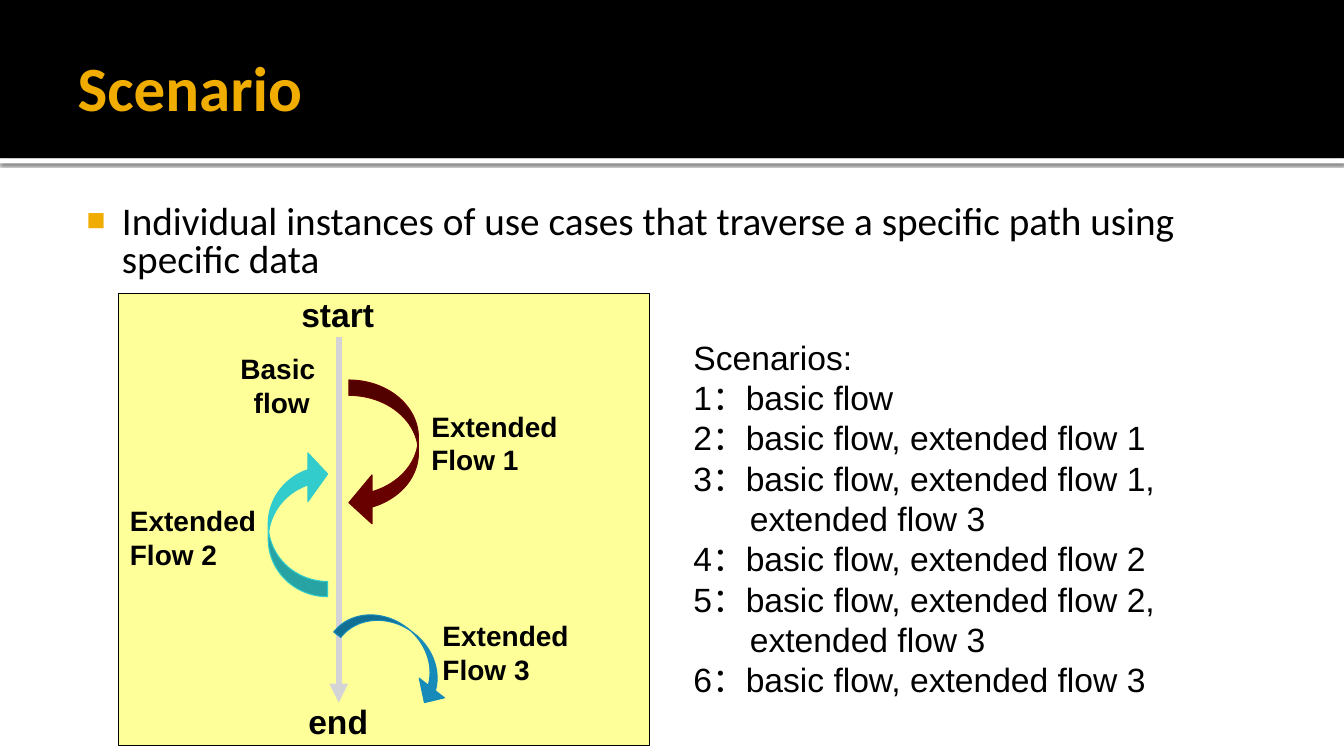
from lxml import etree
from pptx import Presentation
from pptx import util as u
from pptx.dml.color import RGBColor
from pptx.enum import shapes, text
from pptx.oxml import parse_xml
from pptx.oxml.ns import qn

PX = 9144
COLORS = {
    "ink": "000000", "paper": "FFFFFF", "gold": "F0AD00", "panel": "FFFF99",
    "axis": "D4D4D6", "flow1": "680000", "flow2": "33CCCC", "flow3": "168BBA",
}
NS = 'xmlns:a="http://schemas.openxmlformats.org/drawingml/2006/main"'
BAND_SHADOW = (
    f'<a:effectLst {NS}><a:outerShdw blurRad="31750" dist="10160" dir="5400000" '
    'algn="tl" rotWithShape="0"><a:srgbClr val="000000"><a:alpha val="60000"/>'
    '</a:srgbClr></a:outerShdw></a:effectLst>'
)


def rgb(name):
    """Return a named colour."""
    return RGBColor.from_string(COLORS[name])


def emu(*lengths):
    """Turn px lengths into EMU."""
    return [length * PX for length in lengths]


def add_preset(slide, kind, box, fill, line=None, adjust=(), rotation=0):
    """Add a filled preset shape without a shadow."""
    shape = slide.shapes.add_shape(kind, *emu(*box))
    shape.shadow.inherit = False
    shape.fill.solid()
    shape.fill.fore_color.rgb = rgb(fill)
    if line:
        shape.line.color.rgb = rgb(line)
        shape.line.width = u.Pt(0.75)
    else:
        shape.line.fill.background()
    for index, value in enumerate(adjust):
        shape.adjustments[index] = value
    shape.rotation = rotation
    return shape


def add_run(paragraph, words, size, font="Arial", bold=False, color="ink"):
    """Add one formatted run."""
    run = paragraph.add_run()
    run.text = words
    run.font.size = u.Pt(size)
    run.font.name = font
    run.font.bold = bold
    run.font.color.rgb = rgb(color)


def add_lines(slide, box, lines, size, bold=False, wrap=False, align=None):
    """Add a text box with one paragraph per line and return its paragraphs."""
    frame = slide.shapes.add_textbox(*emu(*box)).text_frame
    frame.word_wrap = wrap
    frame.auto_size = text.MSO_AUTO_SIZE.SHAPE_TO_FIT_TEXT
    for index, words in enumerate(lines):
        paragraph = frame.add_paragraph() if index else frame.paragraphs[0]
        paragraph.alignment = align
        add_run(paragraph, words, size, bold=bold)
    return frame.paragraphs


def add_header(slide, box, heading):
    """Draw the black header with its white edge and set the title on it."""
    left, top, width, height = box
    rect = shapes.MSO_SHAPE.RECTANGLE
    edge = add_preset(slide, rect, (left, top + height, width, 5), "paper")
    properties = edge._element.spPr
    properties.remove(properties.find(qn("a:effectLst")))
    properties.append(parse_xml(BAND_SHADOW))
    add_preset(slide, rect, box, "ink")

    title = slide.shapes.title
    slide.shapes._spTree.append(title._element)
    title.left, title.top, title.width, title.height = emu(left + 67, top + 17, 1200, 137)
    frame = title.text_frame
    frame.vertical_anchor = text.MSO_ANCHOR.MIDDLE
    frame.margin_left, frame.margin_right = emu(10, 5)
    frame.margin_top = frame.margin_bottom = 5 * PX
    frame.paragraphs[0].alignment = text.PP_ALIGN.LEFT
    add_run(frame.paragraphs[0], heading, 45, "Calibri", True, "gold")


def add_definition(slide, box, words):
    """Place the bulleted definition."""
    frame = slide.shapes.add_textbox(*emu(*box)).text_frame
    frame.word_wrap = True
    frame.margin_left, frame.margin_top, frame.margin_right = emu(6, 10, 10)
    paragraph = frame.paragraphs[0]
    paragraph.line_spacing = 0.8
    properties = paragraph._p.get_or_add_pPr()
    properties.set("marL", str(48 * PX))
    properties.set("indent", str(-35 * PX))
    color = etree.SubElement(properties, qn("a:buClr"))
    etree.SubElement(color, qn("a:srgbClr"), val=COLORS["gold"])
    etree.SubElement(properties, qn("a:buSzPct"), val="80000")
    etree.SubElement(properties, qn("a:buFont"), typeface="Arial")
    etree.SubElement(properties, qn("a:buChar"), char="■")
    add_run(paragraph, words, 28, "Calibri")


def add_flow_diagram(slide, box):
    """Draw the basic flow and the three extended flows on a panel."""
    left, top, _, height = box
    preset = shapes.MSO_SHAPE
    add_preset(slide, preset.RECTANGLE, box, "panel", "ink")

    axis = left + 218
    basic = slide.shapes.add_connector(
        shapes.MSO_CONNECTOR.STRAIGHT, *emu(axis, top + 43, axis, top + height - 43))
    basic.line.color.rgb = rgb("axis")
    basic.line.width = u.Pt(4.5)
    etree.SubElement(basic.line._get_or_add_ln(), qn("a:tailEnd"), type="triangle")
    etree.SubElement(basic._element.spPr, qn("a:effectLst"))

    arrows = [
        (preset.CURVED_LEFT_ARROW, (228, 86, 69, 146), "flow1", (0.221, 0.703, 0.333), 0),
        (preset.CURVED_DOWN_ARROW, (214, 333, 130, 48), "flow3", (0.186, 0.662, 0.333), 37.9),
        (preset.CURVED_LEFT_ARROW, (148, 155, 59, 146), "flow2", (0.257, 0.82, 0.333), 180),
    ]
    for kind, (x, y, width, tall), color, adjust, rotation in arrows:
        place = (left + x, top + y, width, tall)
        add_preset(slide, kind, place, color, color, adjust, rotation)

    center = text.PP_ALIGN.CENTER
    labels = [
        ((171, -4, 93, 50), ["start"], 24, None),
        ((178, 399, 80, 50), ["end"], 24, None),
        ((300, 110, 147, 77), ["Extended", "Flow 1"], 20, None),
        ((1, 204, 147, 77), ["Extended", "Flow 2"], 20, None),
        ((311, 318, 147, 77), ["Extended", "Flow 3"], 20, None),
        ((110, 53, 103, 77), ["Basic ", "flow"], 20, center),
    ]
    for (x, y, width, tall), lines, size, align in labels:
        add_lines(slide, (left + x, top + y, width, tall), lines, size, True, align=align)


def add_scenarios(slide, box, lines):
    """List the scenarios, indenting lines that continue the one above."""
    for paragraph in add_lines(slide, box, lines, 24, wrap=True):
        if paragraph.text.startswith("extended"):
            paragraph._p.get_or_add_pPr().set("marL", str(56 * PX))


def main():
    """Build the slide and save it."""
    deck = Presentation()
    deck.slide_width, deck.slide_height = emu(1333, 750)
    slide = deck.slides.add_slide(deck.slide_layouts.get_by_name("Title Only"))
    add_header(slide, (0, 0, 1333, 157), "Scenario")
    add_definition(
        slide, (67, 194, 1200, 90),
        "Individual instances of use cases that traverse a specific path using specific data")
    add_scenarios(slide, (678, 329, 553, 374), [
        "Scenarios:",
        "1：basic flow",
        "2：basic flow, extended flow 1",
        "3：basic flow, extended flow 1,",
        "extended flow 3",
        "4：basic flow, extended flow 2",
        "5：basic flow, extended flow 2,",
        "extended flow 3",
        "6：basic flow, extended flow 3",
    ])
    add_flow_diagram(slide, (118, 291, 526, 449))
    deck.save("out.pptx")


if __name__ == "__main__":
    main()
